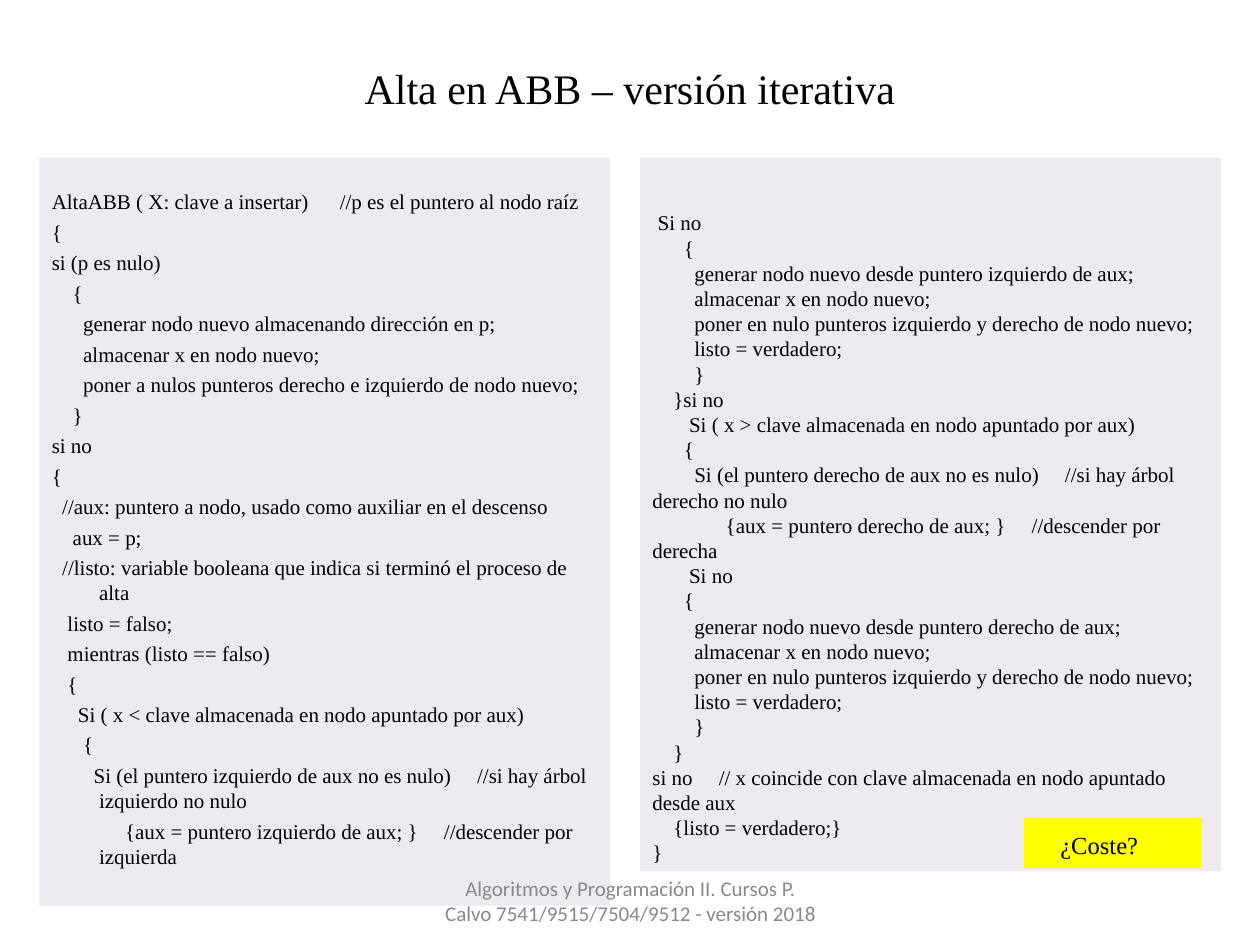
from dataclasses import dataclass

from lxml import etree
from pptx import Presentation
from pptx.dml.color import RGBColor
from pptx.enum.shapes import MSO_SHAPE
from pptx.enum.text import MSO_ANCHOR, PP_ALIGN
from pptx.oxml.ns import qn
from pptx.util import Pt

RECTANGLE = MSO_SHAPE.RECTANGLE
TOP, MIDDLE = MSO_ANCHOR.TOP, MSO_ANCHOR.MIDDLE
LEFT, CENTER = PP_ALIGN.LEFT, PP_ALIGN.CENTER


@dataclass(frozen=True)
class Theme:
    serif: str = "Times New Roman"
    sans: str = "Calibri"
    ink: str = "000000"
    muted: str = "898989"
    panel: str = "E6E0EC"
    highlight: str = "FFFF00"
    panel_opacity: int = 65
    title_size: float = 24
    question_size: float = 14
    code_size: float = 12
    footer_size: float = 12
    code_leading: float = 14.4


THEME = Theme()

FIRST_HALF = """\
AltaABB ( X: clave a insertar)      //p es el puntero al nodo raíz
{
si (p es nulo)
    {
      generar nodo nuevo almacenando dirección en p;
      almacenar x en nodo nuevo;
      poner a nulos punteros derecho e izquierdo de nodo nuevo;
    }
si no
{
  //aux: puntero a nodo, usado como auxiliar en el descenso
    aux = p;
  //listo: variable booleana que indica si terminó el proceso de alta
   listo = falso;
   mientras (listo == falso)
   {
     Si ( x < clave almacenada en nodo apuntado por aux)
      {
        Si (el puntero izquierdo de aux no es nulo)     //si hay árbol izquierdo no nulo
              {aux = puntero izquierdo de aux; }     //descender por izquierda"""

SECOND_HALF = """\
 Si no
      {
        generar nodo nuevo desde puntero izquierdo de aux;
        almacenar x en nodo nuevo;
        poner en nulo punteros izquierdo y derecho de nodo nuevo;
        listo = verdadero;
        }
    }si no
       Si ( x > clave almacenada en nodo apuntado por aux)
      {
        Si (el puntero derecho de aux no es nulo)     //si hay árbol derecho no nulo
              {aux = puntero derecho de aux; }     //descender por derecha
       Si no
      {
        generar nodo nuevo desde puntero derecho de aux;
        almacenar x en nodo nuevo;
        poner en nulo punteros izquierdo y derecho de nodo nuevo;
        listo = verdadero;
        }
    }
si no     // x coincide con clave almacenada en nodo apuntado desde aux
    {listo = verdadero;}
}"""


def in_points(box):
    return [Pt(length) for length in box]


def prepare_frame(shape, anchor, left=7.2, top=3.6):
    frame = shape.text_frame
    frame.word_wrap = True
    frame.vertical_anchor = anchor
    frame.margin_left, frame.margin_right = Pt(left), Pt(7.2)
    frame.margin_top, frame.margin_bottom = Pt(top), Pt(3.6)
    return frame


def write(paragraph, text, size, font=THEME.serif, color=THEME.ink, align=LEFT):
    paragraph.alignment = align
    run = paragraph.add_run()
    run.text = text
    run.font.name = font
    run.font.size = Pt(size)
    run.font.color.rgb = RGBColor.from_string(color)


def add_panel(slide, box, color):
    panel = slide.shapes.add_shape(RECTANGLE, *in_points(box))
    panel.shadow.inherit = False
    panel.fill.solid()
    panel.fill.fore_color.rgb = RGBColor.from_string(color)
    panel.line.fill.background()
    return panel


def set_opacity(shape, percent):
    color = shape.fill._xPr.find(qn("a:solidFill"))[0]
    etree.SubElement(color, qn("a:alpha")).set("val", str(percent * 1000))


def add_centered_text(slide, box, text, size, font, color):
    text_box = slide.shapes.add_textbox(*in_points(box))
    frame = prepare_frame(text_box, MIDDLE)
    write(frame.paragraphs[0], text, size, font, color, CENTER)


def add_code_panel(slide, box, code, top_margin, gap=0, hanging=0):
    """Place code line by line; wrapped lines are indented by hanging."""
    panel = add_panel(slide, box, THEME.panel)
    set_opacity(panel, THEME.panel_opacity)
    frame = prepare_frame(panel, TOP, top=top_margin)
    for index, line in enumerate(code.splitlines()):
        paragraph = frame.add_paragraph() if index else frame.paragraphs[0]
        paragraph.line_spacing = Pt(THEME.code_leading)
        if gap and index:
            paragraph.space_before = Pt(gap)
        if hanging:
            properties = paragraph._p.get_or_add_pPr()
            properties.set("marL", str(Pt(hanging)))
            properties.set("indent", str(-Pt(hanging)))
        write(paragraph, line, THEME.code_size)


def add_question(slide, box):
    label = add_panel(slide, box, THEME.highlight)
    frame = prepare_frame(label, TOP, left=20.7, top=7.2)
    write(frame.paragraphs[0], "¿Coste?", THEME.question_size)


def main():
    presentation = Presentation()
    presentation.slide_width, presentation.slide_height = Pt(720), Pt(540)
    slide = presentation.slides.add_slide(presentation.slide_layouts[6])

    add_centered_text(slide, (36, 21.6, 648, 57), "Alta en ABB – versión iterativa",
                      THEME.title_size, THEME.serif, THEME.ink)
    add_code_panel(slide, (22.5, 90, 326, 427.5), FIRST_HALF,
                   top_margin=18, gap=3, hanging=27)
    add_code_panel(slide, (365.75, 90, 332, 408), SECOND_HALF, top_margin=30)
    add_question(slide, (585.25, 467.25, 101.5, 28.8))
    add_centered_text(slide, (246.25, 500.4, 228.25, 28.8),
                      "Algoritmos y Programación II. Cursos P. Calvo "
                      "7541/9515/7504/9512 - versión 2018",
                      THEME.footer_size, THEME.sans, THEME.muted)

    presentation.save("out.pptx")


if __name__ == "__main__":
    main()
